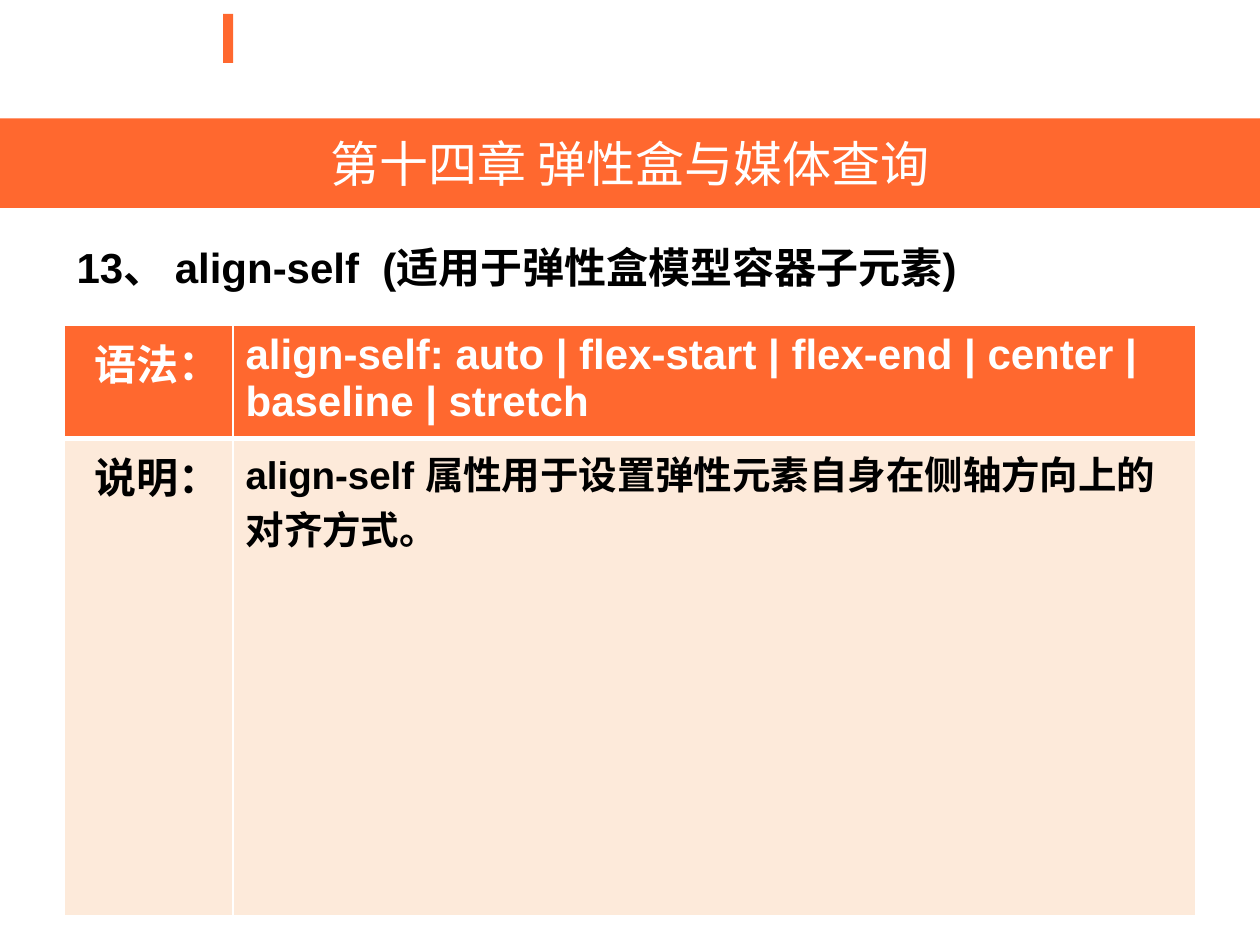
"""Build the align-self slide: chapter banner, topic heading and syntax table."""
from lxml import etree
from pptx import Presentation
from pptx.dml.color import RGBColor
from pptx.enum import shapes, text
from pptx.oxml.ns import qn
from pptx.util import Inches, Pt

COLORS = {"orange": "FF682F", "cream": "FDEADA", "white": "FFFFFF", "black": "000000"}
FONT = "Arial"
LEFT, CENTER, RIGHT = text.PP_ALIGN.LEFT, text.PP_ALIGN.CENTER, text.PP_ALIGN.RIGHT

CHAPTER = "第十四章 弹性盒与媒体查询"
TOPIC = "13、 align-self  (适用于弹性盒模型容器子元素)"
ROWS = [
    {"label": "语法：", "body": "align-self: auto | flex-start | flex-end | center | baseline | stretch",
     "body_size": 24, "fill": "orange", "color": "white", "height": 0.89,
     "edges": {"L": 1, "R": 1, "T": 1, "B": 3}},
    {"label": "说明：", "body": "align-self 属性用于设置弹性元素自身在侧轴方向上的对齐方式。",
     "body_size": 22, "fill": "cream", "color": "black", "height": 3.79,
     "edges": {"L": 1, "R": 1, "T": 3, "B": 1}},
]
COLUMN_WIDTHS = [1.34, 7.64]
TABLE_LEFT, TABLE_TOP = 0.51, 2.58


def write(frame, words, size=24, color="black", bold=True, align=LEFT, before=0):
    frame.word_wrap = True
    paragraph = frame.paragraphs[0]
    paragraph.alignment = align
    paragraph.space_before = Pt(before)
    run = paragraph.add_run()
    run.text = words
    run.font.name = FONT
    run.font.size = Pt(size)
    run.font.bold = bold
    run.font.color.rgb = RGBColor.from_string(COLORS[color])


def add_bar(slide, left, top, width, height):
    bar = slide.shapes.add_shape(shapes.MSO_SHAPE.RECTANGLE, Inches(left), Inches(top),
                                 Inches(width), Inches(height))
    bar.shadow.inherit = False
    bar.fill.solid()
    bar.fill.fore_color.rgb = RGBColor.from_string(COLORS["orange"])
    bar.line.fill.background()
    return bar


def style_cell(cell, fill, edges):
    properties = cell._tc.get_or_add_tcPr()
    for side, width in edges.items():
        line = etree.SubElement(properties, qn(f"a:ln{side}"), w=str(Pt(width)))
        solid = etree.SubElement(line, qn("a:solidFill"))
        etree.SubElement(solid, qn("a:srgbClr"), val=COLORS["white"])
    cell.fill.solid()
    cell.fill.fore_color.rgb = RGBColor.from_string(COLORS[fill])


def add_syntax_table(slide):
    heights = [row["height"] for row in ROWS]
    table = slide.shapes.add_table(
        len(ROWS), len(COLUMN_WIDTHS), Inches(TABLE_LEFT), Inches(TABLE_TOP),
        Inches(sum(COLUMN_WIDTHS)), Inches(sum(heights))).table
    for column, width in zip(table.columns, COLUMN_WIDTHS):
        column.width = Inches(width)
    for table_row, row in zip(table.rows, ROWS):
        table_row.height = Inches(row["height"])
        label, body = table_row.cells
        for cell in (label, body):
            style_cell(cell, row["fill"], row["edges"])
        write(label.text_frame, row["label"], color=row["color"], align=RIGHT)
        write(body.text_frame, row["body"], size=row["body_size"], color=row["color"])


def main():
    deck = Presentation()
    deck.slide_width, deck.slide_height = Inches(10), Inches(7.5)
    slide = deck.slides.add_slide(deck.slide_layouts[6])

    add_bar(slide, 1.77, 0.11, 0.08, 0.39)
    banner = add_bar(slide, 0, 0.94, 10, 0.71)
    banner.text_frame.vertical_anchor = text.MSO_ANCHOR.MIDDLE
    write(banner.text_frame, CHAPTER, size=28, color="white", bold=False, align=CENTER)

    heading = slide.shapes.add_textbox(Inches(0.51), Inches(1.87), Inches(9), Inches(4.72))
    write(heading.text_frame, TOPIC, before=6)

    add_syntax_table(slide)
    deck.save("out.pptx")


if __name__ == "__main__":
    main()
